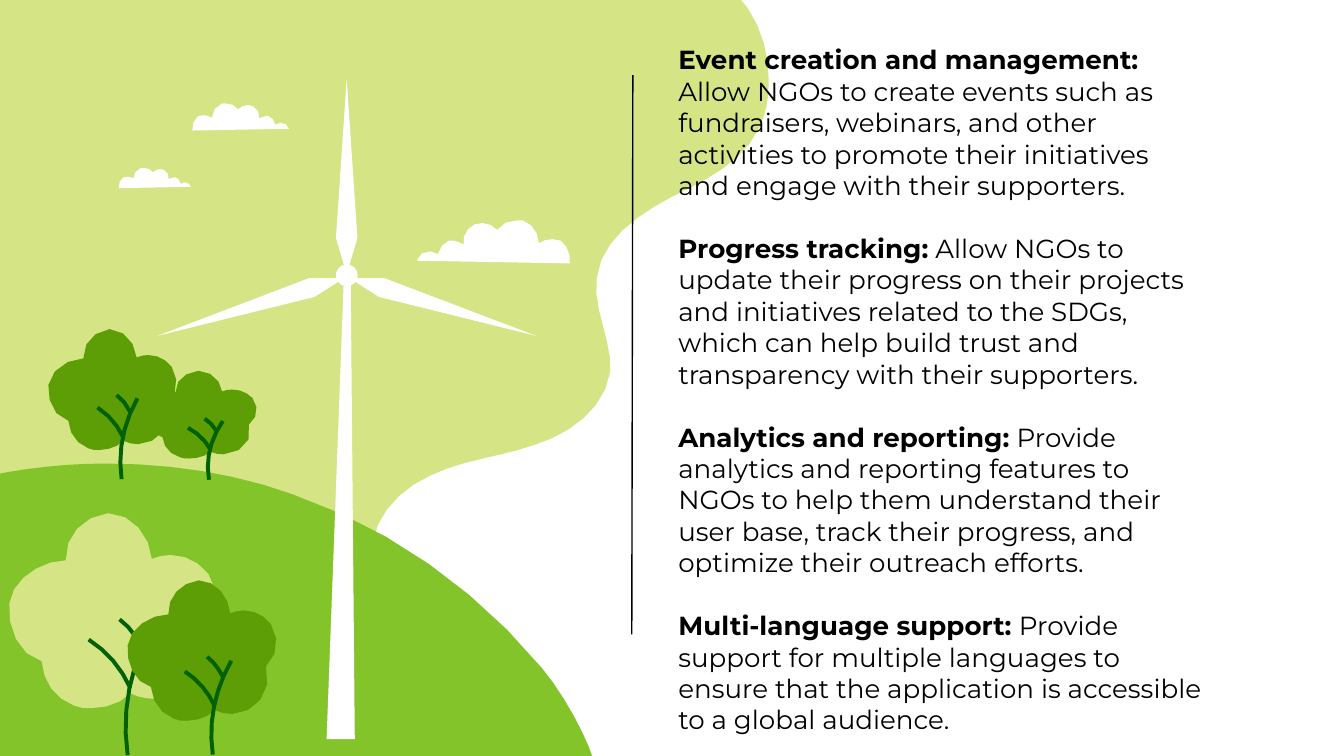
from math import dist

from pptx import Presentation
from pptx.dml.color import RGBColor
from pptx.enum.shapes import MSO_CONNECTOR, MSO_SHAPE
from pptx.util import Cm, Pt
from lxml import etree

THEME = {
    "sky": "D5E484", "hill": "82C429", "leaf": "5D9E06", "wood": "026201",
    "white": "FFFFFF", "ink": "000000",
    "font": "Montserrat", "size": Pt(14), "gap": Pt(17),
    "branch": Pt(2.1), "rule": Pt(0.75),
}
UNIT = 2.54  # cm per drawing unit

prs = Presentation()
prs.slide_width, prs.slide_height = Cm(25.4), Cm(14.29)
s = prs.slides.add_slide(prs.slide_layouts[6])


def color(name):
    return RGBColor.from_string(THEME[name])


def draw(path, fill=None, at=(0, 0), sx=1, sy=1):
    """Pairs are straight segments, sextuples are curves; no fill means a branch."""
    points = [path[0]]
    for seg in path[1:]:
        if len(seg) == 2:
            points.append(seg)
            continue
        (x0, y0), (x1, y1, x2, y2, x3, y3) = points[-1], seg
        # Longer curves get more steps
        steps = min(6, 2 + int(6 * abs(sx) * dist((x0, y0), (x3, y3))))
        for i in range(1, steps + 1):
            t = i / steps
            a, b, c, d = (1 - t) ** 3, 3 * t * (1 - t) ** 2, 3 * t * t * (1 - t), t ** 3
            points.append((a * x0 + b * x1 + c * x2 + d * x3,
                           a * y0 + b * y1 + c * y2 + d * y3))
    emu = [(Cm(UNIT * (at[0] + x * sx)), Cm(UNIT * (at[1] + y * sy))) for x, y in points]
    fb = s.shapes.build_freeform(*emu[0], scale=1.0)
    fb.add_line_segments(emu[1:], close=fill is not None)
    sp = fb.convert_to_shape()
    sp.shadow.inherit = False
    if fill:
        sp.fill.solid()
        sp.fill.fore_color.rgb = color(fill)
        sp.line.fill.background()
    else:
        sp.fill.background()
        sp.line.color.rgb = color("wood")
        sp.line.width = THEME["branch"]


# Sky
draw([(1.65, 5.76), (1.85, 5.66, 2.07, 5.53, 2.26, 5.42), (2.44, 5.33, 2.62, 5.24, 2.76, 5.1),
      (2.89, 4.95, 2.98, 4.75, 2.94, 4.56), (2.91, 4.42, 2.81, 4.3, 2.78, 4.16),
      (2.73, 3.9, 2.95, 3.65, 3.2, 3.54), (3.44, 3.42, 3.73, 3.4, 3.98, 3.31),
      (4.24, 3.23, 4.5, 3.04, 4.54, 2.77), (4.56, 2.54, 4.41, 2.31, 4.44, 2.07),
      (4.47, 1.79, 4.74, 1.6, 4.99, 1.47), (5.25, 1.34, 5.53, 1.21, 5.65, 0.95),
      (5.7, 0.85, 5.72, 0.73, 5.72, 0.61), (5.73, 0.33, 5.6, 0.01, 5.37, -0.13),
      (-0.08, -0.13), (-0.08, 5.76)], "sky")

# Feature descriptions
features = [
    ("Event creation and management:",
     " Allow NGOs to create events such as fundraisers, webinars, and other activities "
     "to promote their initiatives and engage with their supporters."),
    ("Progress tracking:",
     " Allow NGOs to update their progress on their projects and initiatives related to "
     "the SDGs, which can help build trust and transparency with their supporters."),
    ("Analytics and reporting:",
     " Provide analytics and reporting features to NGOs to help them understand their "
     "user base, track their progress, and optimize their outreach efforts."),
    ("Multi-language support:",
     " Provide support for multiple languages to ensure that the application is "
     "accessible to a global audience."),
]
tf = s.shapes.add_textbox(Cm(12.57), Cm(0.58), Cm(10.49), Cm(13.4)).text_frame
tf.word_wrap = True
tf.margin_left = tf.margin_right = tf.margin_top = tf.margin_bottom = Cm(0.25)
for i, feature in enumerate(features):
    p = tf.add_paragraph() if i else tf.paragraphs[0]
    p.space_before = THEME["gap"] if i else Pt(0)
    for part, bold in zip(feature, (True, False)):
        r = p.add_run()
        r.text = part
        r.font.name, r.font.size, r.font.bold = THEME["font"], THEME["size"], bold
        r.font.color.rgb = color("ink")

# Divider
rule = s.shapes.add_connector(MSO_CONNECTOR.STRAIGHT, Cm(11.96), Cm(1.42), Cm(11.94), Cm(11.99))
rule.line.color.rgb = color("ink")
rule.line.width = THEME["rule"]
etree.SubElement(rule._element.spPr,
                 "{http://schemas.openxmlformats.org/drawingml/2006/main}effectLst")

# Clouds: one outline, scaled and mirrored
cloud = [(0.75, 0), (0.79, 0), (0.86, 0.02, 0.91, 0.1, 0.91, 0.17),
         (0.94, 0.15, 0.97, 0.14, 1.01, 0.14), (1.07, 0.15),
         (1.12, 0.18, 1.15, 0.26, 1.14, 0.32), (0, 0.3), (0.01, 0.25, 0.06, 0.23, 0.1, 0.23),
         (0.16, 0.25), (0.17, 0.2, 0.2, 0.17, 0.24, 0.15),
         (0.27, 0.15), (0.3, 0.15, 0.33, 0.17, 0.35, 0.18),
         (0.34, 0.12, 0.37, 0.06, 0.43, 0.03), (0.49, 0.02),
         (0.53, 0.02, 0.57, 0.04, 0.6, 0.07), (0.63, 0.02, 0.69, 0, 0.75, 0)]
for x, y, sx, sy in [(2.15, 0.77, -0.63, 0.63), (1.42, 1.25, -0.47, 0.47), (3.1, 1.64, 1, 1)]:
    draw(cloud, "white", (x, y), sx, sy)

# Hill
draw([(0.79, 3.45), (1.26, 3.45, 1.74, 3.52, 2.18, 3.68), (2.9, 3.93, 3.54, 4.38, 4.03, 4.97),
      (4.2, 5.17, 4.37, 5.5, 4.41, 5.64), (-0.06, 5.65), (-0.08, 3.54),
      (0.21, 3.48, 0.5, 3.45, 0.79, 3.45)], "hill")

# Trees: one crown with a trunk and two branches, scaled
crown = [(0.74, 0), (0.91, 0, 1.05, 0.17, 1.06, 0.34), (1.1, 0.32, 1.15, 0.31, 1.2, 0.31),
         (1.31, 0.31, 1.41, 0.36, 1.48, 0.45), (1.57, 0.58, 1.55, 0.79, 1.43, 0.89),
         (1.51, 1.15, 1.31, 1.38, 1.08, 1.38), (1.02, 1.38, 0.96, 1.37, 0.9, 1.34),
         (0.84, 1.41, 0.72, 1.45, 0.61, 1.45), (0.56, 1.45, 0.52, 1.45, 0.48, 1.43),
         (0.34, 1.38, 0.25, 1.25, 0.24, 1.1), (0.07, 1.06, -0.02, 0.84, 0, 0.67),
         (0.02, 0.49, 0.24, 0.35, 0.42, 0.35), (0.41, 0.17, 0.55, 0.02, 0.73, 0)]
branches = [
    [(0.88, 1.8), (0.83, 1.47, 0.9, 1.13, 1.07, 0.83)],
    [(0.9, 1.3), (0.83, 1.15, 0.73, 1.03, 0.59, 0.94)],
    [(0.98, 0.99), (0.94, 0.91, 0.89, 0.84, 0.82, 0.79)],
]
for x, y, sx, sy, fill in [(0.07, 3.82, 1, 1, "sky"), (0.95, 4.32, 0.72, 0.72, "leaf"),
                           (0.36, 2.45, 0.62, 0.62, "leaf"), (1.08, 2.76, 0.54, 0.45, "leaf")]:
    draw(crown, fill, (x, y), sx, sy)
    for branch in branches:
        draw(branch, None, (x, y), sx, sy)

# Wind turbine
draw([(2.57, 2.04), (2.61, 2.08), (2.64, 5.5), (2.43, 5.5), (2.56, 2.04)], "white")
draw([(2.58, 0.59), (2.66, 1.77), (2.58, 2.04), (2.5, 1.77)], "white")
for side in (-1, 1):
    draw([(0.28, 0), (1.41, 0.43), (0.24, 0.14), (0.02, 0)], "white", (2.58, 2.07), side)
hub = s.shapes.add_shape(MSO_SHAPE.OVAL, Cm(6.35), Cm(5), Cm(0.41), Cm(0.41))
hub.shadow.inherit = False
hub.fill.solid()
hub.fill.fore_color.rgb = color("white")
hub.line.fill.background()

prs.save("out.pptx")
